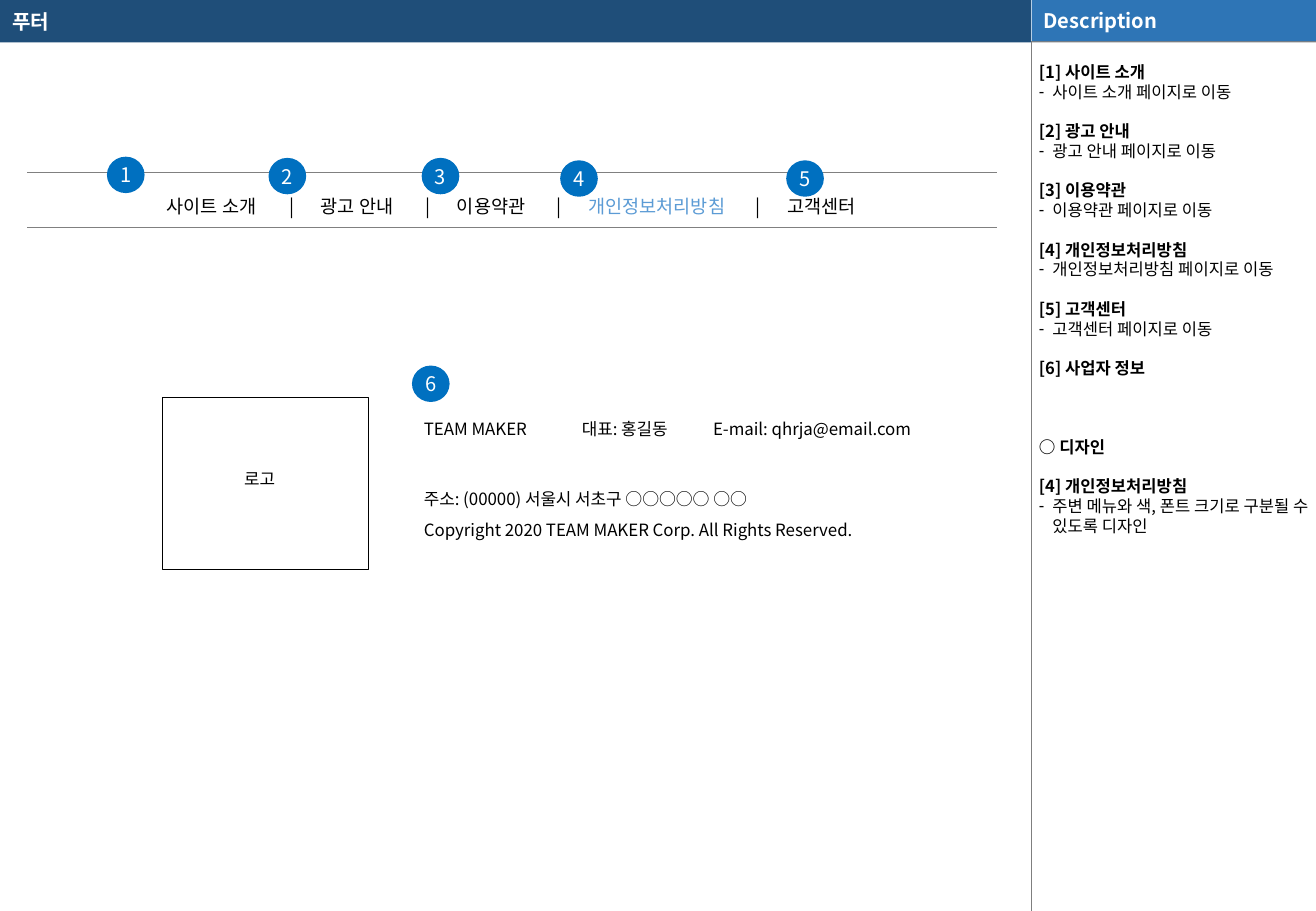
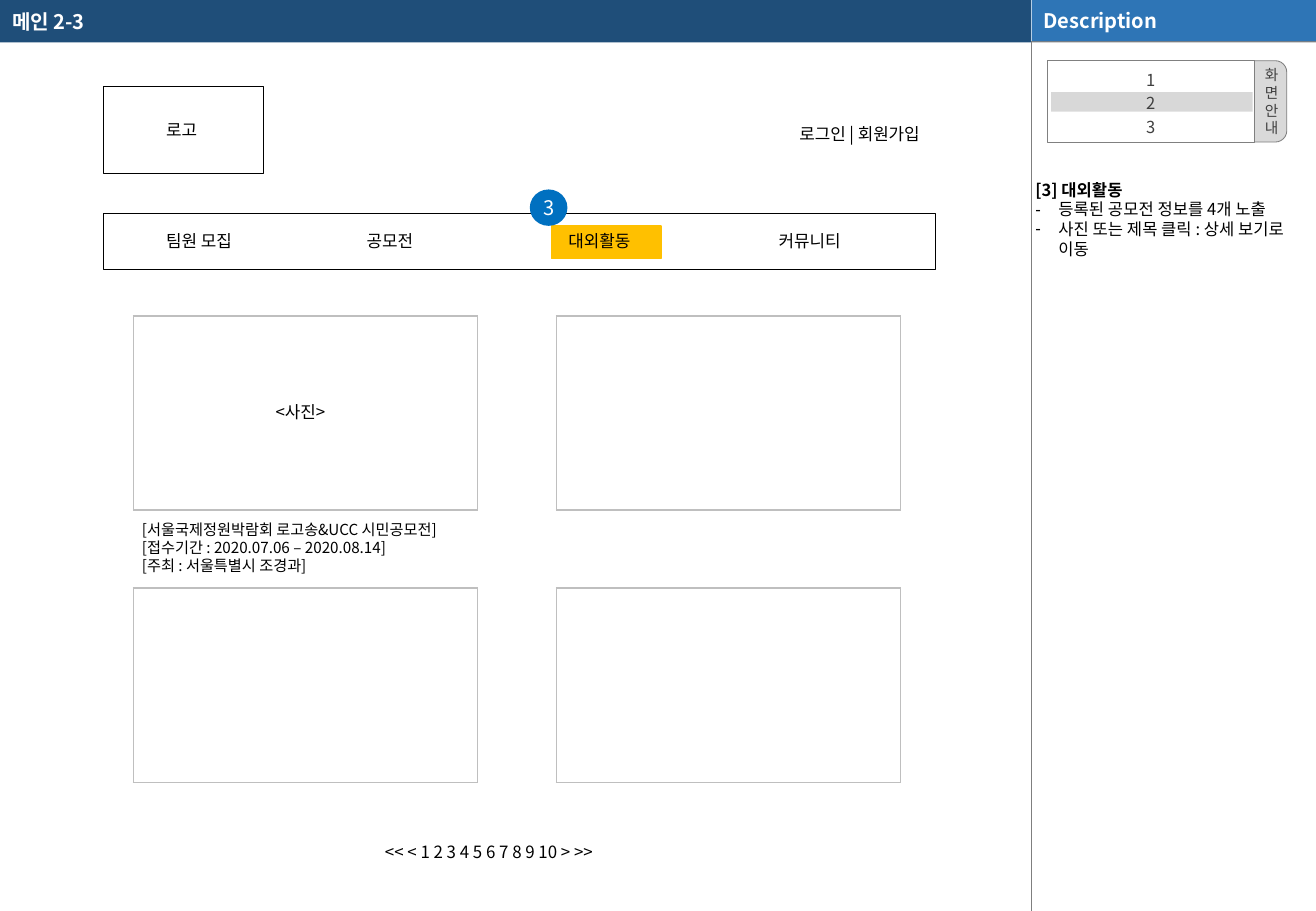
from dataclasses import dataclass

from lxml import etree
from pptx import Presentation
from pptx.dml.color import RGBColor
from pptx.enum.shapes import MSO_CONNECTOR, MSO_SHAPE
from pptx.enum.text import MSO_ANCHOR, MSO_AUTO_SIZE, PP_ALIGN
from pptx.oxml.ns import qn
from pptx.util import Inches, Pt

RECT, ROUND, OVAL = MSO_SHAPE.RECTANGLE, MSO_SHAPE.ROUNDED_RECTANGLE, MSO_SHAPE.OVAL
STRAIGHT = MSO_CONNECTOR.STRAIGHT
LEFT, CENTER, RIGHT = PP_ALIGN.LEFT, PP_ALIGN.CENTER, PP_ALIGN.RIGHT
TOP, MIDDLE = MSO_ANCHOR.TOP, MSO_ANCHOR.MIDDLE
NO_FIT = MSO_AUTO_SIZE.NONE


@dataclass(frozen=True)
class Theme:
    font: str = "Noto Sans CJK KR"
    navy: str = "1F4E79"
    blue: str = "2E75B6"
    badge: str = "0070C0"
    link: str = "5B9BD5"
    amber: str = "FFC000"
    white: str = "FFFFFF"
    black: str = "000000"
    dark: str = "404040"
    gray: str = "808080"
    rule: str = "7F7F7F"
    silver: str = "BFBFBF"
    light: str = "D9D9D9"
    head: float = 11.9
    menu: float = 11
    body: float = 10
    note: float = 9.8
    caption: float = 9
    tab: float = 8.7
    single: float = 1.19
    loose: float = 1.85
    wide: float = 1.43


T = Theme()
WIDTH, HEIGHT = 10.83, 7.5
SPLIT, BAND = 8.49, 0.35


def rgb(color):
    return RGBColor.from_string(color)


class Deck:
    def __init__(self):
        self.prs = Presentation()
        self.prs.slide_width = Inches(WIDTH)
        self.prs.slide_height = Inches(HEIGHT)
        self.s = None

    def style(self, p, size, color=T.black, bold=False, align=LEFT, spacing=T.single):
        p.alignment = align
        p.line_spacing = Pt(round(size * spacing, 1))
        p.space_before = Pt(0)
        for r in p.runs:
            r.font.size = Pt(size)
            r.font.bold = bold
            r.font.color.rgb = rgb(color)
            r.font.name = T.font
            etree.SubElement(r._r.get_or_add_rPr(), qn("a:ea"), typeface=T.font)

    def tabs(self, p, stops):
        tab_list = etree.SubElement(p._p.get_or_add_pPr(), qn("a:tabLst"))
        for stop in stops:
            etree.SubElement(tab_list, qn("a:tab"), pos=str(Inches(stop)), algn="l")

    def bullet(self, p, indent):
        pPr = p._p.get_or_add_pPr()
        pPr.set("marL", str(Inches(indent)))
        pPr.set("indent", str(-Inches(indent)))
        if indent:
            etree.SubElement(pPr, qn("a:buChar"), char="-")
        else:
            etree.SubElement(pPr, qn("a:buNone"))

    def frame(self, tf, anchor, insets):
        tf.auto_size = NO_FIT
        tf.word_wrap = True
        tf.vertical_anchor = anchor
        sides = [Inches(inset) for inset in insets]
        tf.margin_left, tf.margin_top, tf.margin_right, tf.margin_bottom = sides

    def fill_text(self, tf, text, size, anchor=TOP, insets=(0.1, 0.05, 0.1, 0.05), **look):
        self.frame(tf, anchor, insets)
        tf.text = text
        for p in tf.paragraphs:
            self.style(p, size, **look)

    def text(self, x, y, w, h, text, size=T.body, stops=(), **look):
        box = self.s.shapes.add_textbox(Inches(x), Inches(y), Inches(w), Inches(h))
        self.fill_text(box.text_frame, text, size, **look)
        if stops:
            self.tabs(box.text_frame.paragraphs[0], stops)

    def shape(self, x, y, w, h, kind=RECT, fill=None, line=None, weight=0.75, parent=None):
        shapes = (parent or self.s).shapes
        sp = shapes.add_shape(kind, Inches(x), Inches(y), Inches(w), Inches(h))
        sp.shadow.inherit = False
        if fill:
            sp.fill.solid()
            sp.fill.fore_color.rgb = rgb(fill)
        else:
            sp.fill.background()
        if line:
            sp.line.color.rgb = rgb(line)
            sp.line.width = Pt(weight)
        else:
            sp.line.fill.background()
        return sp

    def line(self, x1, y1, x2, y2, color, weight=0.25):
        cx = self.s.shapes.add_connector(
            STRAIGHT, Inches(x1), Inches(y1), Inches(x2), Inches(y2))
        cx.line.color.rgb = rgb(color)
        cx.line.width = Pt(weight)
        etree.SubElement(cx._element.spPr, qn("a:effectLst"))

    def badge(self, number, x, y):
        sp = self.shape(x, y, 0.31, 0.3, OVAL, T.badge)
        self.fill_text(sp.text_frame, str(number), T.head, MIDDLE, (0, 0, 0, 0),
                       color=T.white, align=CENTER)

    def table(self, x, y, w, h, borders):
        table = self.s.shapes.add_table(
            1, 1, Inches(x), Inches(y), Inches(w), Inches(h)).table
        table.first_row = table.horz_banding = False
        cell = table.cell(0, 0)
        tcPr = cell._tc.get_or_add_tcPr()
        for side, (color, weight) in zip(("lnL", "lnR", "lnT", "lnB"), borders):
            ln = etree.SubElement(tcPr, qn(f"a:{side}"), w=str(Pt(weight)))
            fill = etree.SubElement(ln, qn("a:solidFill"))
            etree.SubElement(fill, qn("a:srgbClr"), val=color)
        cell.fill.background()
        return cell

    def slide(self, title):
        self.s = self.prs.slides.add_slide(self.prs.slide_layouts[1])
        sp = self.s.shapes.title
        sp.left, sp.top, sp.width, sp.height = 0, 0, Inches(SPLIT), Inches(BAND)
        sp.fill.solid()
        sp.fill.fore_color.rgb = rgb(T.navy)
        self.fill_text(sp.text_frame, title, T.head, MIDDLE, color=T.white, bold=True)
        self.shape(SPLIT, 0, WIDTH - SPLIT, BAND, fill=T.gray)
        self.line(SPLIT, 0, SPLIT, BAND, T.white)
        self.line(SPLIT, 0.34, SPLIT, HEIGHT, T.rule)
        header = self.shape(SPLIT, 0, WIDTH - SPLIT, 0.34, fill=T.blue)
        self.fill_text(header.text_frame, "Description", T.head, MIDDLE,
                       color=T.white, bold=True)

    def description(self, x, y, sections, indent):
        sp = self.s.placeholders[1]
        sp.left, sp.top = Inches(x), Inches(y)
        sp.width, sp.height = Inches(2.33), Inches(HEIGHT - y)
        tf = sp.text_frame
        self.frame(tf, TOP, (0.04, 0, 0.04, 0))
        p = tf.paragraphs[0]
        for gap, heading, *details in sections:
            for i, text in enumerate((heading, *details)):
                if p is None:
                    p = tf.add_paragraph()
                p.text = text
                self.bullet(p, indent if i else 0)
                self.style(p, T.note, bold=i == 0)
                if i == 0:
                    p.space_before = Pt(round(gap * T.note * T.single, 1))
                p = None


def footer_slide(d):
    d.slide("푸터")
    edge, rule = (T.white, 1), (T.gray, 0.5)
    cell = d.table(0.22, 1.42, 7.99, 0.45, (edge, edge, rule, rule))
    cell.vertical_anchor = MIDDLE
    cell.margin_left = Inches(1.15)
    p = cell.text_frame.paragraphs[0]
    links = ("사이트 소개\t|\t광고 안내\t|\t이용약관\t|\t", "개인정보처리방침\t", "|\t고객센터")
    for text in links:
        p.add_run().text = text
    d.tabs(p, [x + dx for x in (1.01, 2.13, 3.21, 4.85) for dx in (0, 0.26)])
    d.style(p, T.menu, spacing=2)
    p.runs[1].font.color.rgb = rgb(T.link)

    d.text(3.39, 3.31, 1.31, 0.35, "TEAM MAKER", spacing=T.loose)
    d.text(3.39, 3.88, 4.04, 0.61,
           "주소: (00000) 서울시 서초구 ○○○○○ ○○\n"
           "Copyright 2020 TEAM MAKER Corp. All Rights Reserved.", spacing=T.loose)
    d.text(4.69, 3.31, 3.03, 0.35, "대표: 홍길동\tE-mail: qhrja@email.com",
           stops=(1.08,), spacing=T.loose)
    d.text(1.91, 3.81, 0.62, 0.53, "로고")
    d.shape(1.34, 3.27, 1.69, 1.42, line=T.black)
    d.description(8.51, 0.51, (
        (0, "[1] 사이트 소개", "사이트 소개 페이지로 이동"),
        (1, "[2] 광고 안내", "광고 안내 페이지로 이동"),
        (1, "[3] 이용약관", "이용약관 페이지로 이동"),
        (1, "[4] 개인정보처리방침", "개인정보처리방침 페이지로 이동"),
        (1, "[5] 고객센터", "고객센터 페이지로 이동"),
        (1, "[6] 사업자 정보"),
        (3, "○ 디자인"),
        (1, "[4] 개인정보처리방침", "주변 메뉴와 색, 폰트 크기로 구분될 수 있도록 디자인"),
    ), 0.11)
    spots = ((0.88, 1.29), (2.21, 1.3), (3.47, 1.3), (4.61, 1.32), (6.47, 1.32), (3.39, 3.01))
    for number, (x, y) in enumerate(spots, 1):
        d.badge(number, x, y)


def screen_guide(d):
    group = d.s.shapes.add_group_shape()
    tab = d.shape(10.09, 0.5, 0.5, 0.67, ROUND, T.light, T.gray, 0.5, group)
    tab.adjustments[0] = 0.19
    d.fill_text(tab.text_frame, "화\n면\n안\n내", T.tab, MIDDLE, (0, 0, 0.04, 0),
                color=T.dark, align=RIGHT)
    pages = d.shape(8.62, 0.5, 1.7, 0.67, RECT, T.white, T.gray, 0.5, group)
    d.fill_text(pages.text_frame, "1\n2\n3", T.note, MIDDLE, (0.04,) * 4,
                color=T.dark, align=CENTER, spacing=T.wide)
    current = d.shape(8.65, 0.76, 1.66, 0.16, fill=T.dark, parent=group)
    color = current._element.spPr.find(".//" + qn("a:srgbClr"))
    etree.SubElement(color, qn("a:alpha"), val="20000")


def main_slide(d):
    d.slide("메인 2-3")
    d.shape(4.54, 1.86, 0.9, 0.27, fill=T.amber, line=T.amber, weight=1)
    d.text(1.27, 0.94, 0.6, 0.27, "로고")
    d.text(6.48, 0.97, 1.4, 0.27, "로그인 | 회원가입")
    d.shape(0.85, 0.71, 1.32, 0.72, line=T.black)
    d.text(3.07, 6.88, 2.57, 0.27, "<< < 1 2 3 4 5 6 7 8 9 10 > >>")
    d.shape(0.85, 1.76, 6.85, 0.46, line=T.black)
    menu = ((1.27, "팀원 모집"), (2.92, "공모전"), (4.58, "대외활동"), (6.31, "커뮤니티"))
    for x, label in menu:
        d.text(x, 1.85, 0.84, 0.27, label)
    for y in (2.6, 4.84):
        for x in (1.1, 4.58):
            d.table(x, y, 2.83, 1.6, ((T.silver, 1),) * 4)
    d.text(2.17, 3.26, 0.8, 0.27, "<사진>")
    d.text(1.07, 4.24, 3, 0.56,
           "[서울국제정원박람회 로고송&UCC 시민공모전]\n"
           "[접수기간 : 2020.07.06 – 2020.08.14]\n"
           "[주최 : 서울특별시 조경과]", T.caption)
    screen_guide(d)
    d.description(8.48, 1.48, (
        (0, "[3] 대외활동", "등록된 공모전 정보를 4개 노출",
         "사진 또는 제목 클릭 : 상세 보기로 이동"),
    ), 0.19)
    d.badge(3, 4.36, 1.56)


def main():
    d = Deck()
    footer_slide(d)
    main_slide(d)
    d.prs.save("out.pptx")


if __name__ == "__main__":
    main()
